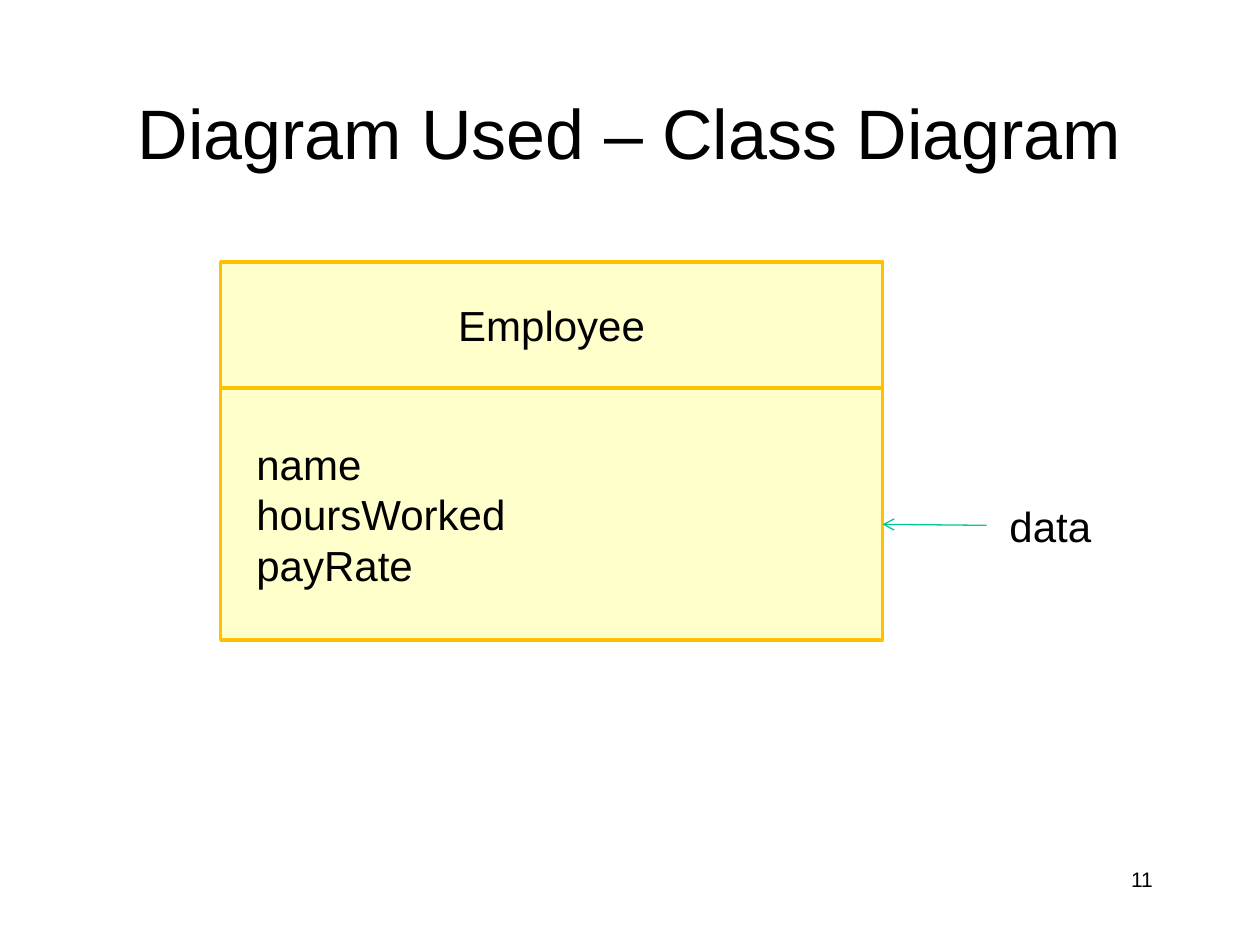
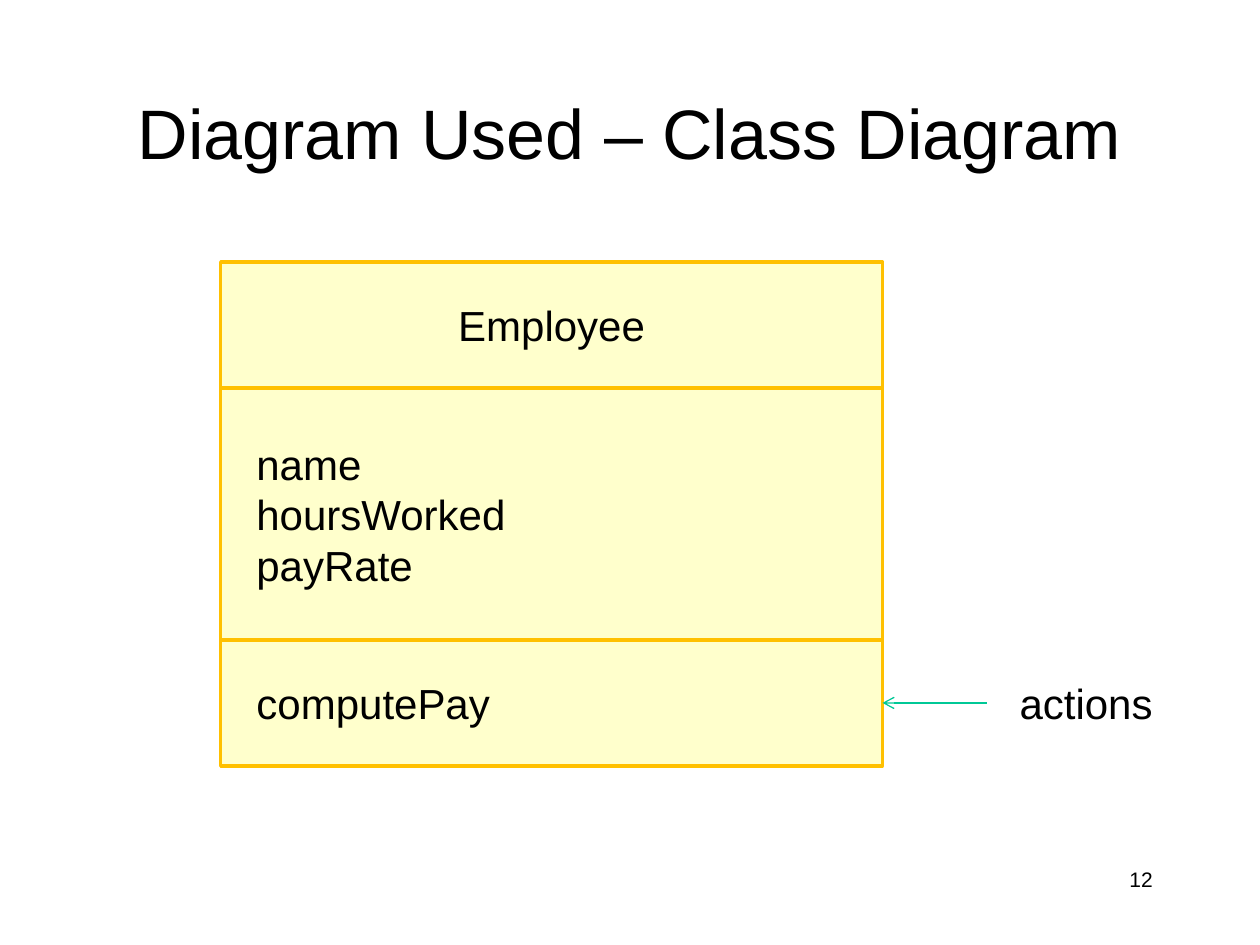
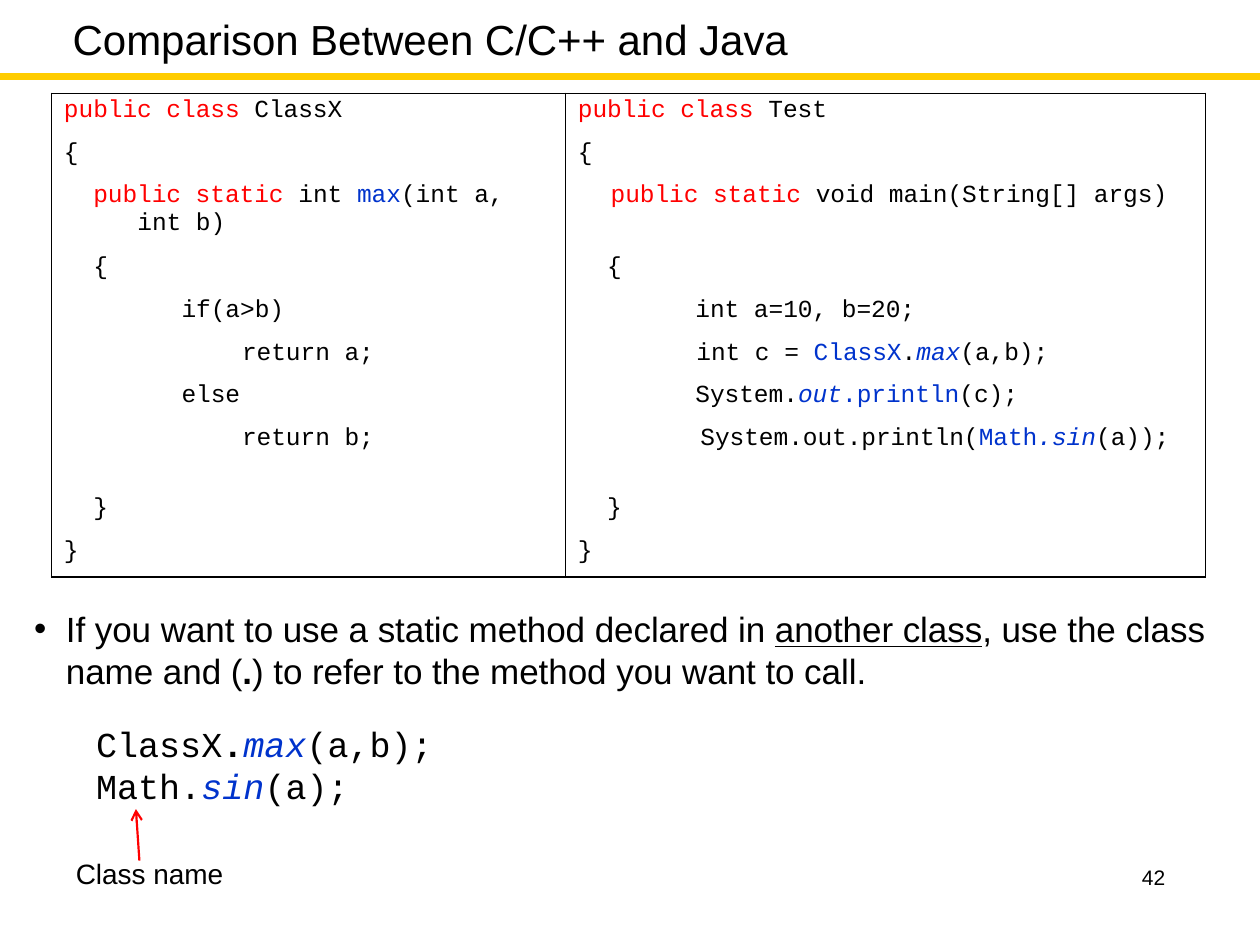
from lxml.etree import SubElement
from pptx import Presentation
from pptx.dml.color import RGBColor
from pptx.enum.shapes import MSO_CONNECTOR as LINE, MSO_SHAPE as SHAPE
from pptx.enum.text import MSO_ANCHOR as ANCHOR, PP_ALIGN as ALIGN
from pptx.oxml.ns import qn
from pptx.util import Cm, Pt

BLACK = RGBColor(0x00, 0x00, 0x00)
WHITE = RGBColor(0xFF, 0xFF, 0xFF)
CREAM = RGBColor(0xFF, 0xFF, 0xCC)
AMBER = RGBColor(0xFF, 0xC0, 0x00)
GOLD = RGBColor(0xFF, 0xCC, 0x00)
GREEN = RGBColor(0x00, 0xC8, 0x96)
RED = RGBColor(0xFF, 0x00, 0x00)
BLUE = RGBColor(0x00, 0x33, 0xCC)
SANS = "Arial"
MONO = "Courier New"

CLASS_LEFT, CLASS_TOP, CLASS_WIDTH, UNIT = 4.45, 5.28, 13.34, 2.54
CLASS_RIGHT = CLASS_LEFT + CLASS_WIDTH
ARROW_START = 19.89

KEYWORD = {"color": RED}
NAME = {"color": BLUE}
METHOD = {"color": BLUE, "italic": True}

CLASS_X = [
    [(0.25, [("public class ", KEYWORD), "ClassX"])],
    [(0.25, ["{"])],
    [(0.84, [("public static ", KEYWORD), "int ", ("max", NAME), "(int a,"]),
     (1.73, ["int b)"])],
    [(0.84, ["{"])],
    [(2.62, ["if(a>b)"])],
    [(3.84, ["return a;"])],
    [(2.62, ["else"])],
    [(3.84, ["return b;"])],
    [(0.84, ["}"])],
    [(0.25, ["}"])],
]
TEST = [
    [(0.25, [("public class ", KEYWORD), "Test"])],
    [(0.25, ["{"])],
    [(0.91, [("public static ", KEYWORD), "void main(String[] args)"])],
    [(0.84, ["{"])],
    [(2.62, ["int a=10, b=20;"])],
    [(2.64, ["int c = ", ("ClassX", NAME), ".", ("max", METHOD), "(a,b);"])],
    [(2.62, ["System.", ("out", METHOD), (".println", NAME), "(c);"])],
    [(2.72, ["System.out.println(", ("Math", NAME), (".sin", METHOD), "(a));"])],
    [(0.84, ["}"])],
    [(0.25, ["}"])],
]
ROW_HEIGHTS = [0.86, 0.86, 1.45, 0.86, 0.86, 0.86, 0.86, 1.14, 1.14, 0.86]
CLOSING_ROW = 8


def write(paragraph, text, size=24, font=SANS, color=BLACK, bold=False,
          italic=False, underline=False, spacing=0):
    run = paragraph.add_run()
    run.text = text
    run.font.size = Pt(size)
    run.font.name = font
    run.font.color.rgb = color
    run.font.bold = bold
    run.font.italic = italic
    run.font.underline = underline
    if spacing:
        run._r.get_or_add_rPr().set("spc", str(spacing))


def write_line(frame, parts, indent=0.0, hanging=0.0, before=0, bullet=None,
               align=ALIGN.LEFT, **style):
    paragraph = frame.paragraphs[0]
    if paragraph.runs:
        paragraph = frame.add_paragraph()
    paragraph.alignment = align
    paragraph.space_before = Pt(before)
    properties = paragraph._p.get_or_add_pPr()
    properties.set("marL", str(Cm(indent)))
    properties.set("indent", str(-Cm(hanging)))
    if bullet:
        SubElement(properties, qn("a:buFont"), typeface=SANS)
        SubElement(properties, qn("a:buChar"), char=bullet)
    for part in parts:
        text, accent = (part, {}) if isinstance(part, str) else part
        write(paragraph, text, **{**style, **accent})
    return paragraph


def set_margins(target, left=0.0, top=0.0, right=0.0, bottom=0.0):
    target.margin_left, target.margin_top = Cm(left), Cm(top)
    target.margin_right, target.margin_bottom = Cm(right), Cm(bottom)


def add_text_area(slide, left, top, width, height, anchor=ANCHOR.TOP):
    frame = slide.shapes.add_textbox(
        Cm(left), Cm(top), Cm(width), Cm(height)).text_frame
    frame.word_wrap = True
    frame.vertical_anchor = anchor
    return frame


def add_box(slide, lines, left, top, width, height, fill=CREAM, border=AMBER,
            align=ALIGN.CENTER, inset=0.25):
    box = slide.shapes.add_shape(
        SHAPE.RECTANGLE, Cm(left), Cm(top), Cm(width), Cm(height))
    box.shadow.inherit = False
    box.fill.solid()
    box.fill.fore_color.rgb = fill
    if border is None:
        box.line.fill.background()
    else:
        box.line.color.rgb = border
        box.line.width = Pt(2)
    box.text_frame.vertical_anchor = ANCHOR.MIDDLE
    box.text_frame.margin_left = Cm(inset)
    for line in lines:
        write_line(box.text_frame, [line], align=align)
    return box


def add_line(slide, start, end, color, width, arrow=False):
    line = slide.shapes.add_connector(
        LINE.STRAIGHT, *(Cm(value) for value in (*start, *end)))
    line.line.color.rgb = color
    line.line.width = Pt(width)
    if arrow:
        SubElement(line.line._get_or_add_ln(), qn("a:tailEnd"), type="arrow")
    SubElement(line._element.spPr, qn("a:effectLst"))
    return line


def add_page_number(slide, number):
    frame = add_text_area(slide, 18.21, 17.35, 5.28, 1.27)
    line = write_line(frame, [number], size=12, align=ALIGN.RIGHT)
    return frame, line


def add_class_diagram(prs, number):
    slide = prs.slides.add_slide(prs.slide_layouts[6])
    title = add_text_area(slide, 0.84, 1.07, 23.7, 3.18, ANCHOR.MIDDLE)
    write_line(title, ["Diagram Used – Class Diagram"], size=40,
               align=ALIGN.CENTER)
    add_box(slide, ["Employee"], CLASS_LEFT, CLASS_TOP, CLASS_WIDTH, UNIT)
    add_members(slide, ["name", "hoursWorked", "payRate"], 1, 2)
    add_page_number(slide, number)
    return slide


def add_members(slide, members, first_unit, units):
    return add_box(slide, members, CLASS_LEFT, CLASS_TOP + first_unit * UNIT,
                   CLASS_WIDTH, units * UNIT, align=ALIGN.LEFT, inset=0.72)


def add_label(slide, text, left, top, width):
    return add_box(slide, [text], left, top, width, UNIT, WHITE, None)


def build_data_slide(prs):
    slide = add_class_diagram(prs, "11")
    add_label(slide, "data", 19.69, 9.32, 2.97)
    add_line(slide, (ARROW_START, 10.59), (CLASS_RIGHT, 10.57), GREEN, 0.75, True)


def build_actions_slide(prs):
    slide = add_class_diagram(prs, "12")
    compute_pay = add_members(slide, ["computePay"], 3, 1)
    top = CLASS_TOP + 3 * UNIT
    actions = add_label(slide, "actions", ARROW_START, top, 4.01)
    middle = top + UNIT / 2
    arrow = add_line(slide, (ARROW_START, middle), (CLASS_RIGHT, middle),
                     GREEN, 0.75, True)
    arrow.begin_connect(actions, 1)
    arrow.end_connect(compute_pay, 3)


def set_borders(cell, visible):
    properties = cell._tc.get_or_add_tcPr()
    for side in "LRTB":
        edge = SubElement(properties, qn(f"a:ln{side}"), w=str(Pt(1)))
        if side in visible:
            fill = SubElement(edge, qn("a:solidFill"))
            SubElement(fill, qn("a:srgbClr"), val=str(BLACK))
        else:
            SubElement(edge, qn("a:noFill"))


def add_code_table(slide):
    widths = [10.36, 12.9]
    table = slide.shapes.add_table(
        len(ROW_HEIGHTS), len(widths), Cm(1.04), Cm(1.88),
        Cm(sum(widths)), Cm(sum(ROW_HEIGHTS))).table
    table.first_row = table.horz_banding = False
    for column, width in zip(table.columns, widths):
        column.width = Cm(width)
    last = len(ROW_HEIGHTS) - 1
    for row, height in enumerate(ROW_HEIGHTS):
        table.rows[row].height = Cm(height)
        visible = "LR" + ("T" if row == 0 else "") + ("B" if row == last else "")
        for column, code in enumerate((CLASS_X, TEST)):
            cell = table.cell(row, column)
            set_margins(cell, top=0.36 if row == CLOSING_ROW else 0.08)
            set_borders(cell, visible)
            cell.fill.background()
            for indent, parts in code[row]:
                write_line(cell.text_frame, parts, indent=indent, size=14,
                           font=MONO, spacing=-5)


def add_explanation(slide):
    frame = add_text_area(slide, 0.64, 12.22, 24.13, 5.77)
    set_margins(frame, top=0.03)
    prose = {"size": 20, "spacing": -5}
    code = {"size": 20, "font": MONO, "indent": 1.3}
    write_line(frame, ["If you want to use a static method declared in ",
                       ("another class", {"underline": True}),
                       ", use the class"],
               indent=0.69, hanging=0.64, before=0.9, bullet="•", **prose)
    write_line(frame, ["name and (", (".", {"bold": True}),
                       ") to refer to the method you want to call."],
               indent=0.69, before=0.1, **prose)
    write_line(frame, ["ClassX", (".", {"bold": True}), ("max", METHOD),
                       "(a,b);"], before=17.5, **code)
    write_line(frame, ["Math.", ("sin", METHOD), "(a);"], before=0.1, **code)
    write_line(frame, ["Class name"], indent=0.89, before=28.5, size=16)


def build_comparison_slide(prs):
    slide = prs.slides.add_slide(prs.slide_layouts[6])
    add_line(slide, (0, 1.55), (25.4, 1.55), GOLD, 4)
    title = add_text_area(slide, 1.04, 0.23, 15.27, 1.09, ANCHOR.MIDDLE)
    set_margins(title, top=0.03)
    write_line(title, ["Comparison Between C/C++ and Java"],
               align=ALIGN.CENTER, spacing=-2)
    add_code_table(slide)
    add_explanation(slide)
    add_line(slide, (2.81, 17.35), (2.74, 16.31), RED, 1.25, True)
    frame, number = add_page_number(slide, "42")
    set_margins(frame)
    number.line_spacing = Pt(16.4)


def main():
    prs = Presentation()
    prs.slide_width, prs.slide_height = Cm(25.4), Cm(19.05)
    build_data_slide(prs)
    build_actions_slide(prs)
    build_comparison_slide(prs)
    prs.save("out.pptx")


if __name__ == "__main__":
    main()
